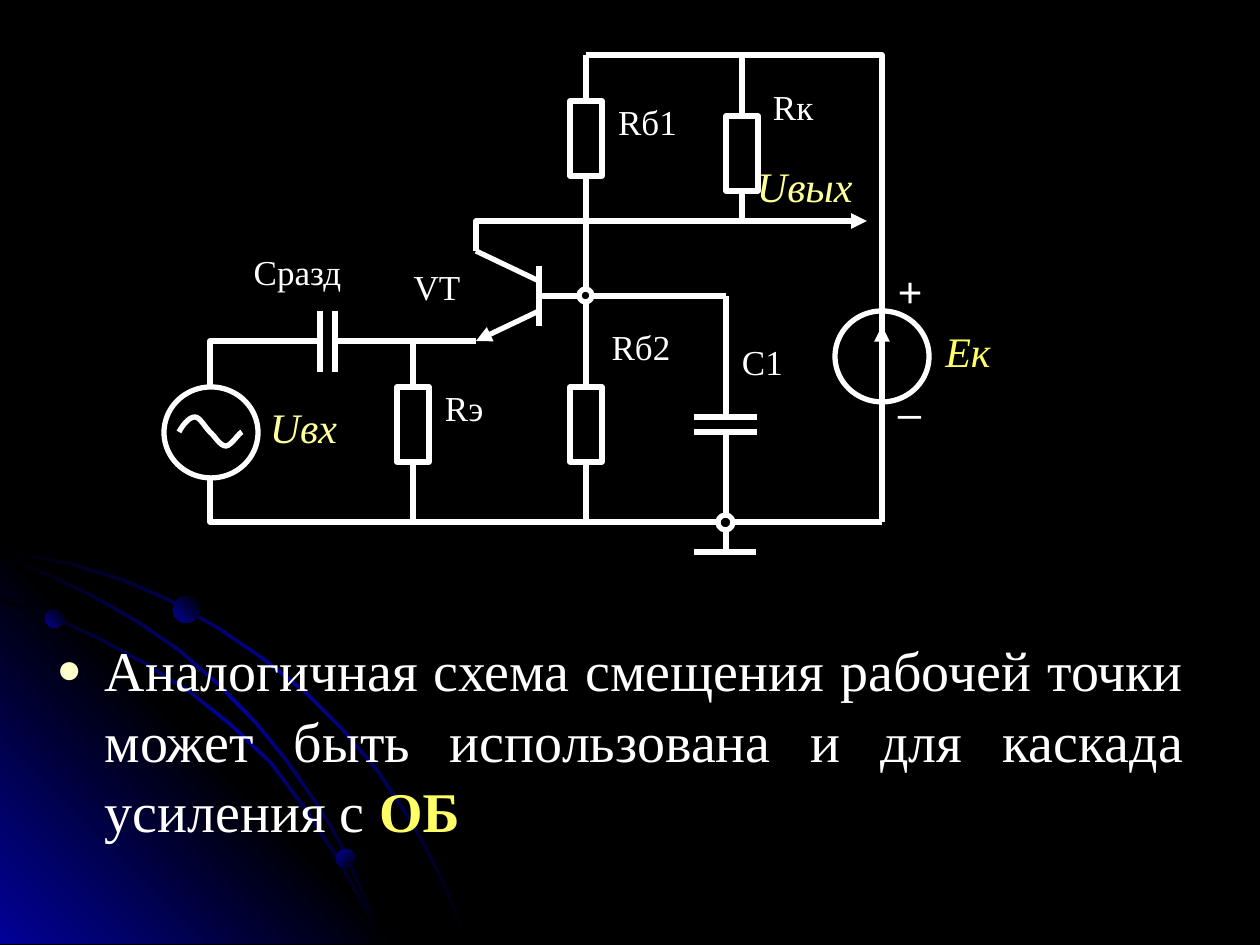
import math
from typing import NamedTuple, Optional

import pptx
import pptx.dml.color
import pptx.enum.shapes
import pptx.enum.text
import pptx.oxml
import pptx.oxml.ns
import pptx.util
from dataclasses import dataclass

SCALE = 914400 / 126
KIND = pptx.enum.shapes.MSO_SHAPE
ALIGN = pptx.enum.text.PP_ALIGN
NS = pptx.oxml.ns.nsdecls("a")


@dataclass(frozen=True)
class Theme:
    black: str = "000000"
    white: str = "FFFFFF"
    blue: str = "010199"
    pale: str = "FFFF99"
    gold: str = "FFFF66"
    cream: str = "FFFFCC"
    serif: str = "Times New Roman"
    sans: str = "Arial"
    body: int = 32
    big: int = 24
    small: int = 20
    line: int = 3


T = Theme()


class Wire(NamedTuple):
    x1: int
    y1: int
    x2: int
    y2: int
    arrow: bool = False


class Res(NamedTuple):
    """Resistor centred on x; top and foot are the far ends of its leads."""
    x: int
    y: int
    top: Optional[int]
    foot: int


class Label(NamedTuple):
    text: str
    x: int
    y: int
    w: int
    mid: bool = True
    size: int = T.small
    color: str = T.white
    font: str = T.serif
    italic: bool = False


ARCS = [
    [(0, 550), (35, 557), (71, 564), (123, 580), (171, 601), (218, 628), (262, 658), (304, 691),
     (342, 729), (377, 770), (408, 817), (426, 848), (442, 880), (455, 911), (467, 944)],
    [(0, 600), (50, 616), (98, 638), (146, 664), (190, 692), (231, 725), (270, 762),
     (304, 807), (334, 853), (360, 898), (372, 921), (380, 944)],
    [(0, 558), (47, 574), (94, 597), (138, 622), (180, 651), (219, 685), (256, 723),
     (287, 761), (318, 806), (338, 839), (354, 873), (369, 908), (380, 944)],
]
DOTS = [(45, 609, 19, 135), (336, 849, 20, 225), (173, 596, 27, 135)]

WIRES = [
    Wire(335, 341, 476, 341), Wire(320, 311, 320, 372), Wire(335, 311, 335, 372),
    Wire(539, 266, 539, 326), Wire(539, 281, 476, 251), Wire(539, 311, 476, 341, True),
    Wire(539, 296, 726, 296), Wire(726, 296, 726, 417), Wire(694, 417, 757, 417),
    Wire(694, 432, 757, 432), Wire(726, 432, 726, 552), Wire(694, 552, 756, 552),
    Wire(882, 402, 882, 326, True), Wire(742, 221, 867, 221, True),
]
BENDS = [
    [(210, 477), (210, 522), (882, 522)],
    [(210, 387), (210, 341), (320, 341)],
    [(586, 55), (882, 55), (882, 522)],
    [(476, 251), (476, 221), (742, 221)],
]
PARTS = [Res(586, 387, None, 522), Res(586, 101, 55, 387),
         Res(742, 116, 55, 221), Res(413, 387, 341, 522)]
LABELS = [
    Label("Сразд", 227, 251, 141), Label("Rб1", 601, 101, 93), Label("Rб2", 586, 326, 110),
    Label("VT", 398, 266, 78), Label("Rк", 773, 86, 63, False),
    Label("Rэ", 445, 387, 63, False), Label("С1", 742, 341, 62, False),
    Label("Eк", 929, 326, 78, True, T.big, T.gold, italic=True),
    Label("Uвх", 257, 402, 93, True, T.big, T.pale, italic=True),
    Label("Uвых", 757, 161, 125, False, T.big, T.pale, italic=True),
    Label("+", 898, 266, 62, False, T.big, font=T.sans),
    Label("–", 898, 387, 62, False, T.big, font=T.sans),
]


def px(n: float) -> pptx.util.Emu:
    return pptx.util.Emu(round(n * SCALE))


def rgb(code: str) -> pptx.dml.color.RGBColor:
    return pptx.dml.color.RGBColor.from_string(code)


def stroke(line) -> None:
    line.color.rgb = rgb(T.white)
    line.width = pptx.util.Pt(T.line)


def shade(shape, stops: list[str], angle: int) -> None:
    """Fill with evenly spaced stops, the angle running clockwise."""
    step = 100000 // (len(stops) - 1)
    marks = "".join(f'<a:gs pos="{i * step}"><a:srgbClr val="{c}"/></a:gs>'
                    for i, c in enumerate(stops))
    shape.shadow.inherit = False
    shape.line.fill.background()
    shape.fill.background()
    props = shape._element.spPr
    props.replace(props.find(pptx.oxml.ns.qn("a:noFill")), pptx.oxml.parse_xml(
        f'<a:gradFill {NS} rotWithShape="1"><a:gsLst>{marks}</a:gsLst>'
        f'<a:lin ang="{angle * 60000}" scaled="0"/></a:gradFill>'))


def trace(shapes, points: list, close: bool = False):
    ends = [(px(x), px(y)) for x, y in points]
    pen = shapes.build_freeform(*ends[0], scale=1.0)
    pen.add_line_segments(ends[1:], close=close)
    return pen.convert_to_shape()


def band(points: list, half: float = 1.4) -> list:
    """Outline of a thin ribbon along the points."""
    over, under = [], []
    for i, (x, y) in enumerate(points):
        (ax, ay), (bx, by) = points[max(i - 1, 0)], points[min(i + 1, len(points) - 1)]
        size = math.hypot(bx - ax, by - ay)
        dx, dy = half * (by - ay) / size, half * (bx - ax) / size
        over.append((max(x + dx, 0), y - dy))
        under.append((max(x - dx, 0), y + dy))
    return over + under[::-1]


def curve(a, b, c, d, steps: int = 8) -> list:
    """Points of a Bezier curve, without its first."""
    def at(t, i):
        u = 1 - t
        return u**3 * a[i] + 3 * u * u * t * b[i] + 3 * u * t * t * c[i] + t**3 * d[i]
    return [(at(k / steps, 0), at(k / steps, 1)) for k in range(1, steps + 1)]


def bend(shapes, points: list) -> None:
    shape = trace(shapes, points)
    shape.shadow.inherit = False
    shape.fill.background()
    stroke(shape.line)


def join(shapes, wire: Wire):
    link = shapes.add_connector(pptx.enum.shapes.MSO_CONNECTOR.STRAIGHT, *map(px, wire[:4]))
    stroke(link.line)
    props = link._element.spPr
    if wire.arrow:
        props.find(pptx.oxml.ns.qn("a:ln")).append(
            pptx.oxml.parse_xml(f'<a:tailEnd {NS} type="triangle"/>'))
    props.append(pptx.oxml.parse_xml(f"<a:effectLst {NS}/>"))
    return link


def block(shapes, kind, x: int, y: int, w: int, h: int, fill: Optional[str] = None):
    shape = shapes.add_shape(kind, *map(px, (x, y, w, h)))
    shape.shadow.inherit = False
    if fill:
        shape.fill.solid()
        shape.fill.fore_color.rgb = rgb(fill)
    else:
        shape.fill.background()
    stroke(shape.line)
    return shape


def write(para, text: str, *, size: int, color: str, font: str = T.serif,
          bold: bool = False, italic: bool = False) -> None:
    run = para.add_run()
    run.text = text
    face = run.font
    face.size, face.name, face.bold, face.italic = pptx.util.Pt(size), font, bold, italic
    face.color.rgb = rgb(color)


def name(shapes, tag: Label) -> None:
    frame = shapes.add_textbox(*map(px, (tag.x, tag.y, tag.w, 60))).text_frame
    frame.word_wrap = True
    frame.margin_left = frame.margin_right = frame.margin_top = frame.margin_bottom = 0
    para = frame.paragraphs[0]
    para.alignment = ALIGN.CENTER if tag.mid else ALIGN.LEFT
    write(para, tag.text, size=tag.size, color=tag.color, font=tag.font, italic=tag.italic)


def decor(shapes) -> None:
    glow = [T.black, T.blue, T.black]
    shade(trace(shapes, band(ARCS[0]), True), glow, 225)
    shade(trace(shapes, [(406, 944), (0, 944), (0, 538)], True), [T.blue, T.black, T.blue], 135)
    for arc in ARCS[1:]:
        shade(trace(shapes, band(arc), True), glow, 225)
    for x, y, d, angle in DOTS:
        shade(block(shapes, KIND.OVAL, x, y, d, d), [T.black, T.blue], angle)


def note(shapes, body) -> None:
    shapes._spTree.append(body._element)
    body.left, body.top, body.width, body.height = map(px, (44, 626, 1153, 223))
    frame = body.text_frame
    frame.auto_size = pptx.enum.text.MSO_AUTO_SIZE.NONE
    para = frame.paragraphs[0]
    props = para._p.get_or_add_pPr()
    props.set("marL", str(px(48)))
    props.set("indent", str(px(-48)))
    for item in (f'<a:buClr {NS}><a:srgbClr val="{T.cream}"/></a:buClr>',
                 f'<a:buSzPct {NS} val="75000"/>', f'<a:buChar {NS} char="●"/>'):
        props.append(pptx.oxml.parse_xml(item))
    para.alignment, para.line_spacing = ALIGN.JUSTIFY, 1.05
    para.space_before = pptx.util.Pt(0)
    write(para, "Аналогичная схема смещения рабочей точки может быть использована "
          "и для каскада усиления с ", size=T.body, color=T.white)
    write(para, "ОБ", size=T.body, color=T.gold, bold=True)


def scheme(shapes) -> None:
    for x, y in ((164, 387), (835, 311)):
        block(shapes, KIND.OVAL, x, y, 94, 91)
    wave = [(179, 432), (184, 423), (190, 417), (195, 417), (200, 417), (205, 427), (210, 432),
            (215, 436), (220, 446), (226, 446), (231, 446), (239, 433), (242, 432)]
    bend(shapes, wave[:1] + [p for i in range(0, 12, 3) for p in curve(*wave[i:i + 4])])
    for points in BENDS:
        bend(shapes, points)
    for wire in WIRES:
        join(shapes, wire)
    boxes = [block(shapes, KIND.RECTANGLE, r.x - 16, r.y, 32, 75) for r in PARTS]
    for box, r in zip(boxes, PARTS):
        if r.top is not None:
            join(shapes, Wire(r.x, r.top, r.x, r.y)).end_connect(box, 0)
        lead = join(shapes, Wire(r.x, r.y + 75, r.x, r.foot))
        lead.begin_connect(box, 2)
        if (r.x, r.foot) == (PARTS[0].x, PARTS[0].y):
            lead.end_connect(boxes[0], 0)
    for x, y, d in ((579, 289, 13), (718, 515, 15)):
        block(shapes, KIND.OVAL, x, y, d, d, T.black)
    for tag in LABELS:
        name(shapes, tag)


def main() -> None:
    deck = pptx.Presentation()
    deck.slide_width, deck.slide_height = px(1260), px(945)
    slide = deck.slides.add_slide(deck.slide_layouts[1])
    slide.background.fill.solid()
    slide.background.fill.fore_color.rgb = rgb(T.black)
    title = slide.shapes.title._element
    title.getparent().remove(title)
    decor(slide.shapes)
    note(slide.shapes, slide.placeholders[1])
    scheme(slide.shapes)
    deck.save("out.pptx")


if __name__ == "__main__":
    main()
